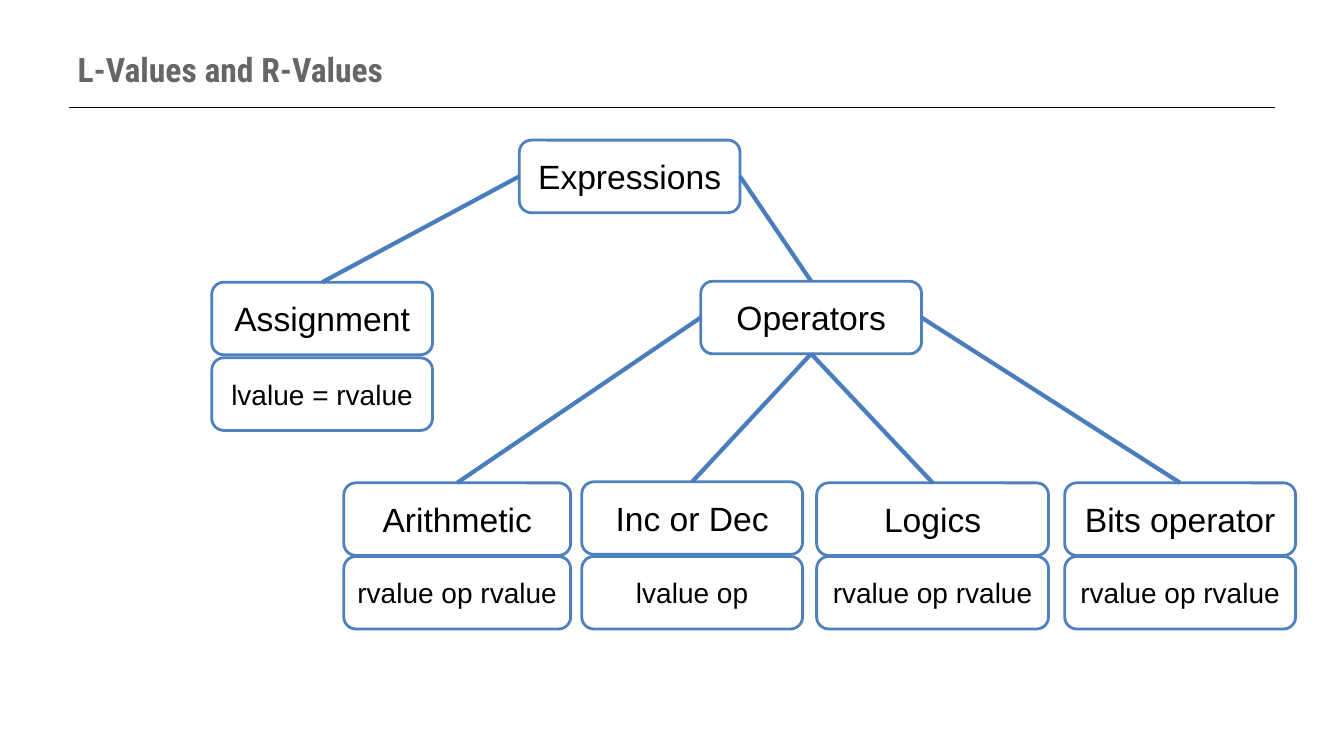
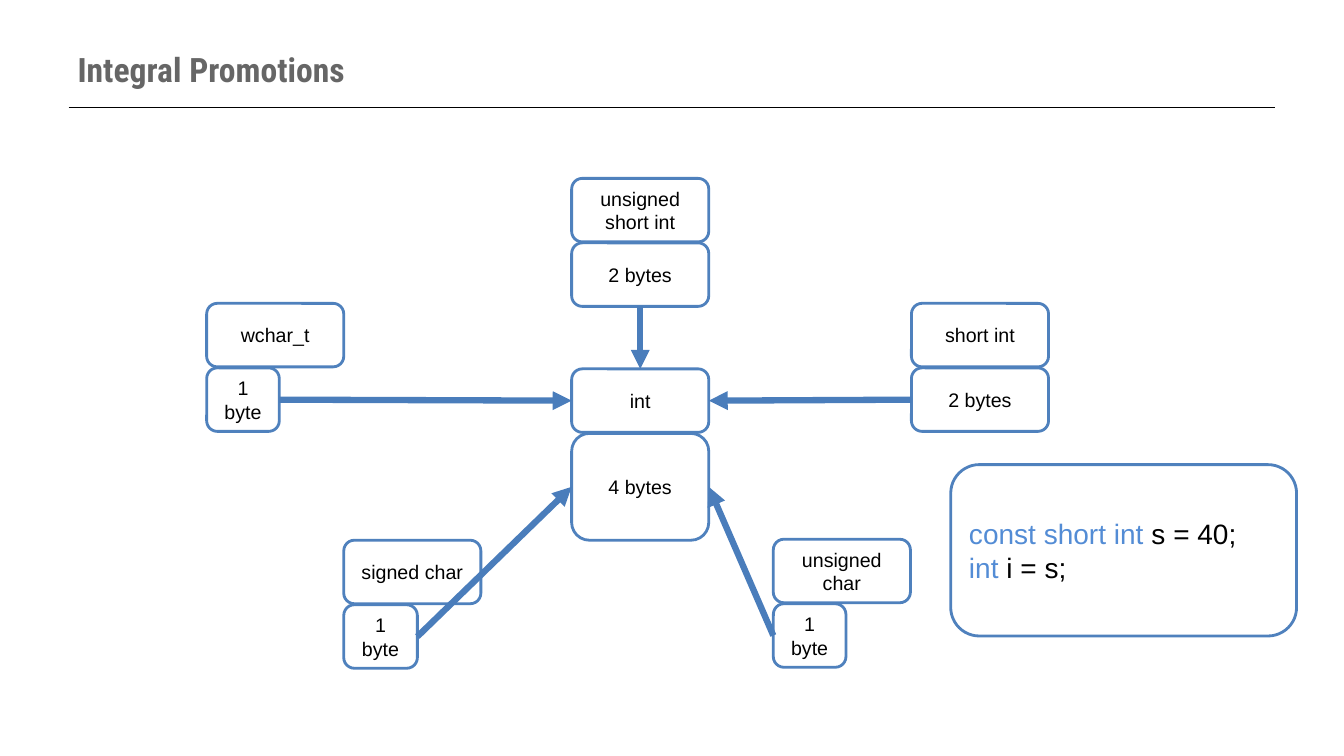
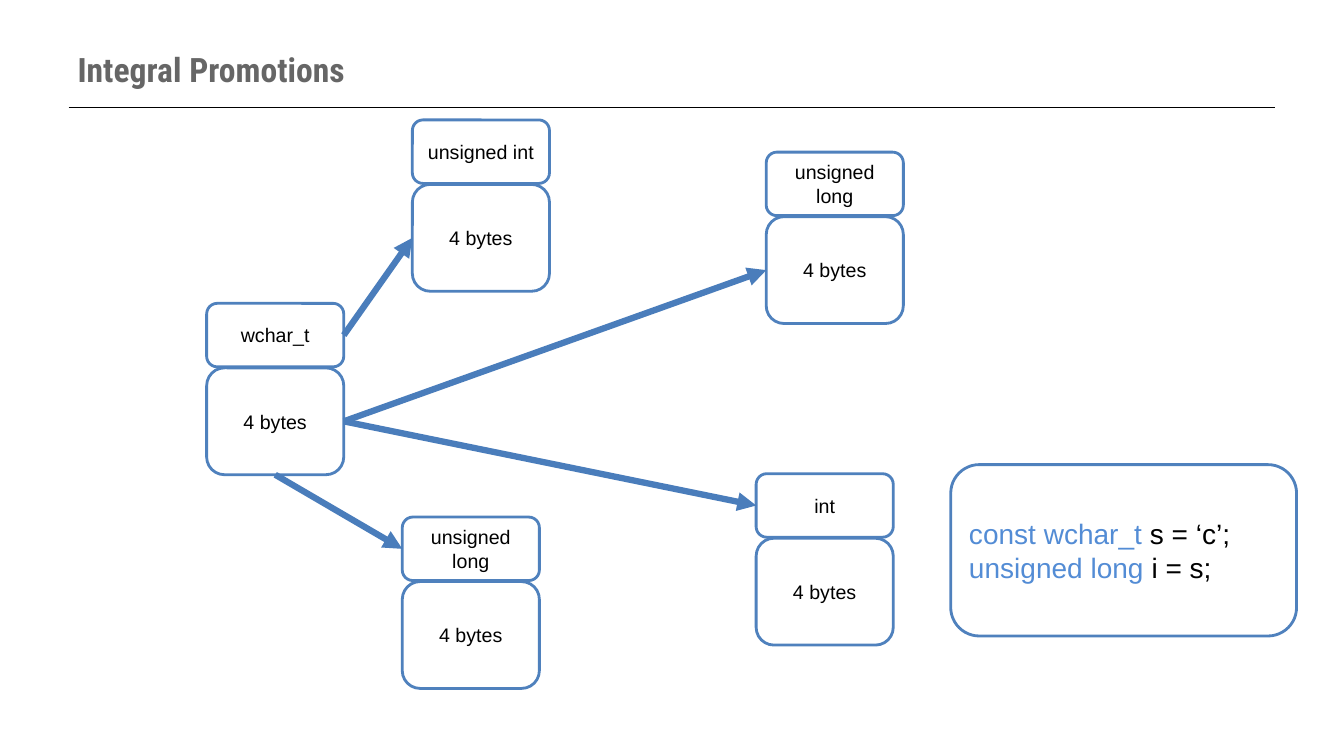
import dataclasses
import enum
import typing

import lxml.etree
import pptx
import pptx.dml.color
import pptx.enum.shapes
import pptx.enum.text
import pptx.oxml.ns
import pptx.util

EMU_PER_PX = 9144
COLORS = {
    "title": "666666",
    "text": "000000",
    "keyword": "538CD5",
    "paper": "FFFFFF",
    "border": "4F81BD",
    "link": "4A7DBB",
    "rule": "000000",
}
BODY_FONT = "Arial"
TITLE_FONT = "Roboto Condensed"
ALIGN = pptx.enum.text.PP_ALIGN
CODE_BOUNDS = (943, 461, 343, 170)


class Side(enum.IntEnum):
    TOP = 0
    LEFT = 1
    BOTTOM = 2
    RIGHT = 3


class Span(typing.NamedTuple):
    text: str
    color: str = "text"


@dataclasses.dataclass(frozen=True)
class DiagramStyle:
    head_height: int
    head_size: int
    detail_size: int
    link_width: float
    arrow: bool


@dataclasses.dataclass(frozen=True)
class Stack:
    key: str
    head: str
    left: int
    top: int
    width: int = 136
    detail: str = ""
    detail_width: int = 0
    detail_height: int = 0
    gap: int = 1


@dataclasses.dataclass(frozen=True)
class Link:
    start: str
    start_side: Side
    end: str
    end_side: Side


@dataclasses.dataclass(frozen=True)
class Page:
    title: str
    style: DiagramStyle
    stacks: list[Stack]
    links: list[Link]
    code: tuple[tuple[Span, ...], ...] = ()


TREE = DiagramStyle(72, 24, 20, 3, False)
TYPES = DiagramStyle(63, 14, 14, 4.5, True)

PAGES = [
    Page(
        "L-Values and R-Values",
        TREE,
        [
            Stack("expressions", "Expressions", 515, 139, 219),
            Stack("assignment", "Assignment", 210, 280, 219, "lvalue = rvalue", gap=3),
            Stack("operators", "Operators", 695, 279, 219),
            Stack("arithmetic", "Arithmetic", 341, 479, 225, "rvalue op rvalue"),
            Stack("step", "Inc or Dec", 577, 478, 219, "lvalue op", gap=2),
            Stack("logics", "Logics", 810, 479, 230, "rvalue op rvalue"),
            Stack("bits", "Bits operator", 1056, 479, 229, "rvalue op rvalue"),
        ],
        [
            Link("assignment", Side.TOP, "expressions", Side.LEFT),
            Link("operators", Side.TOP, "expressions", Side.RIGHT),
            Link("arithmetic", Side.TOP, "operators", Side.LEFT),
            Link("step", Side.TOP, "operators", Side.BOTTOM),
            Link("logics", Side.TOP, "operators", Side.BOTTOM),
            Link("bits", Side.TOP, "operators", Side.RIGHT),
        ],
    ),
    Page(
        "Integral Promotions",
        TYPES,
        [
            Stack("wchar", "wchar_t", 205, 301, detail="1 byte", detail_width=72),
            Stack("signed", "signed char", 341, 536, detail="1 byte", detail_width=73),
            Stack("unsigned", "unsigned char", 767, 535, detail="1 byte", detail_width=72),
            Stack("ushort", "unsigned short int", 567, 177, detail="2 bytes"),
            Stack("short", "short int", 904, 301, detail="2 bytes"),
            Stack("int", "int", 567, 366, detail="4 bytes", detail_height=106),
        ],
        [
            Link("wchar bytes", Side.RIGHT, "int", Side.LEFT),
            Link("signed bytes", Side.RIGHT, "int bytes", Side.LEFT),
            Link("unsigned bytes", Side.LEFT, "int bytes", Side.RIGHT),
            Link("short bytes", Side.LEFT, "int", Side.RIGHT),
            Link("ushort bytes", Side.BOTTOM, "int", Side.TOP),
        ],
        (
            (Span("const short int ", "keyword"), Span("s = 40;")),
            (Span("int ", "keyword"), Span("i = s;")),
        ),
    ),
    Page(
        "Integral Promotions",
        TYPES,
        [
            Stack(key, head, left, top, detail="4 bytes", detail_height=106)
            for key, head, left, top in (
                ("wchar", "wchar_t", 205, 301),
                ("int", "int", 750, 470),
                ("uint", "unsigned int", 409, 119),
                ("lower ulong", "unsigned long", 399, 513),
                ("upper ulong", "unsigned long", 760, 151),
            )
        ],
        [
            Link("wchar bytes", Side.BOTTOM, "lower ulong", Side.LEFT),
            Link("wchar bytes", Side.RIGHT, "int", Side.LEFT),
            Link("wchar bytes", Side.RIGHT, "upper ulong bytes", Side.LEFT),
            Link("wchar", Side.RIGHT, "uint bytes", Side.LEFT),
        ],
        (
            (Span("const wchar_t ", "keyword"), Span("s = ‘c’;")),
            (Span("unsigned long ", "keyword"), Span("i = s;")),
        ),
    ),
]


def px(length: int) -> pptx.util.Emu:
    return pptx.util.Emu(length * EMU_PER_PX)


def rgb(name: str) -> pptx.dml.color.RGBColor:
    return pptx.dml.color.RGBColor.from_string(COLORS[name])


def assign(target: typing.Any, values: dict[str, typing.Any]) -> None:
    for name, value in values.items():
        setattr(target, name, value)


def add_span(paragraph: typing.Any, span: Span, size: int, font: str = BODY_FONT, bold: bool = False) -> None:
    run = paragraph.add_run()
    run.text = span.text
    assign(run.font, {"name": font, "size": pptx.util.Pt(size), "bold": bold})
    run.font.color.rgb = rgb(span.color)


def draw_box(
    slide: typing.Any,
    bounds: tuple[int, int, int, int],
    lines: tuple[tuple[Span, ...], ...],
    size: int,
    alignment: ALIGN = ALIGN.CENTER,
) -> typing.Any:
    box = slide.shapes.add_shape(
        pptx.enum.shapes.MSO_SHAPE.ROUNDED_RECTANGLE, *map(px, bounds)
    )
    box.shadow.inherit = False
    box.fill.solid()
    box.fill.fore_color.rgb = rgb("paper")
    box.line.color.rgb = rgb("border")
    box.line.width = pptx.util.Pt(2)
    frame = box.text_frame
    for index, line in enumerate(lines):
        paragraph = frame.add_paragraph() if index else frame.paragraphs[0]
        paragraph.alignment = alignment
        for span in line:
            add_span(paragraph, span, size)
    return box


def draw_stack(slide: typing.Any, stack: Stack, style: DiagramStyle) -> dict[str, typing.Any]:
    height = style.head_height
    parts = {
        stack.key: draw_box(
            slide,
            (stack.left, stack.top, stack.width, height),
            ((Span(stack.head),),),
            style.head_size,
        )
    }
    if stack.detail:
        parts[f"{stack.key} bytes"] = draw_box(
            slide,
            (
                stack.left,
                stack.top + height + stack.gap,
                stack.detail_width or stack.width,
                stack.detail_height or height,
            ),
            ((Span(stack.detail),),),
            style.detail_size,
        )
    return parts


def draw_line(
    slide: typing.Any, ends: tuple[int, int, int, int], color: str, width: float, arrow: bool = False
) -> typing.Any:
    line = slide.shapes.add_connector(
        pptx.enum.shapes.MSO_CONNECTOR.STRAIGHT, *map(px, ends)
    )
    line.line.color.rgb = rgb(color)
    line.line.width = pptx.util.Pt(width)
    qn = pptx.oxml.ns.qn
    properties = line._element.spPr
    if arrow:
        outline = properties.find(qn("a:ln"))
        lxml.etree.SubElement(outline, qn("a:tailEnd"), type="triangle")
    lxml.etree.SubElement(properties, qn("a:effectLst"))
    return line


def draw_link(slide: typing.Any, link: Link, parts: dict[str, typing.Any], style: DiagramStyle) -> None:
    line = draw_line(slide, (0, 0, 0, 0), "link", style.link_width, style.arrow)
    line.begin_connect(parts[link.start], int(link.start_side))
    line.end_connect(parts[link.end], int(link.end_side))


def prepare_layout(layout: typing.Any) -> None:
    frame = dict(zip(("left", "top", "width", "height"), map(px, (67, 30, 1200, 77))))
    assign(layout.placeholders[0], frame)


def add_layout_rule(slide: typing.Any) -> None:
    rule = draw_line(slide, (68, 107, 1265, 107), "rule", 0.75)
    slide.slide_layout.shapes._spTree.append(rule._element)


def draw_page(presentation: typing.Any, layout: typing.Any, page: Page) -> typing.Any:
    slide = presentation.slides.add_slide(layout)
    frame = slide.shapes.title.text_frame
    assign(
        frame,
        {
            "vertical_anchor": pptx.enum.text.MSO_ANCHOR.MIDDLE,
            "auto_size": pptx.enum.text.MSO_AUTO_SIZE.NONE,
            "word_wrap": True,
        },
    )
    heading = frame.paragraphs[0]
    heading.alignment = ALIGN.LEFT
    add_span(heading, Span(page.title, "title"), 24, TITLE_FONT, True)
    parts = {}
    for stack in page.stacks:
        parts.update(draw_stack(slide, stack, page.style))
    for link in page.links:
        draw_link(slide, link, parts, page.style)
    if page.code:
        draw_box(slide, CODE_BOUNDS, page.code, 20, ALIGN.LEFT)
    return slide


def main() -> None:
    presentation = pptx.Presentation()
    assign(presentation, {"slide_width": px(1333), "slide_height": px(750)})
    layout = presentation.slide_layouts.get_by_name("Title Only")
    prepare_layout(layout)
    slides = [draw_page(presentation, layout, page) for page in PAGES]
    add_layout_rule(slides[0])
    presentation.save("out.pptx")


if __name__ == "__main__":
    main()
